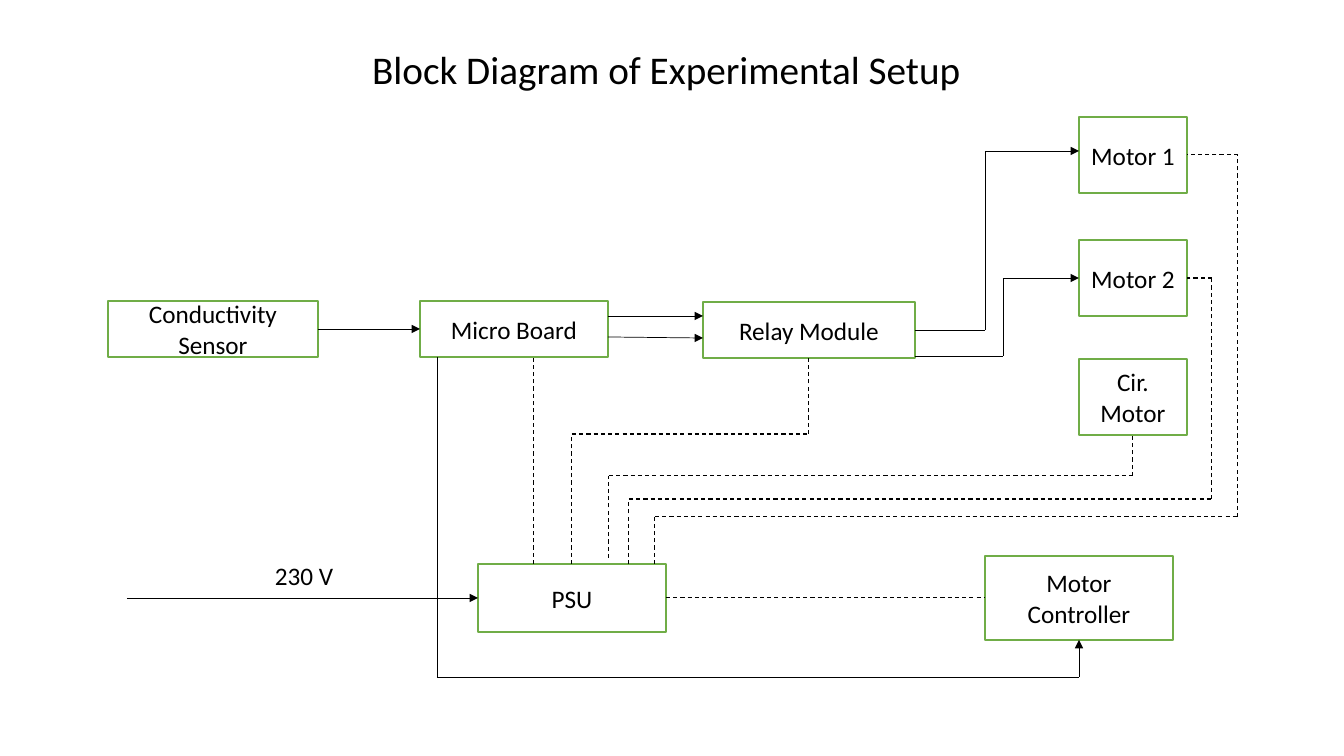
"""Builds a one-slide block diagram of an experimental setup."""
from dataclasses import dataclass
from itertools import pairwise
from typing import NamedTuple

from pptx import Presentation
from pptx.dml.color import RGBColor
from pptx.enum.dml import MSO_LINE
from pptx.enum.shapes import MSO_CONNECTOR, MSO_SHAPE
from pptx.enum.text import MSO_ANCHOR, PP_ALIGN
from pptx.oxml.ns import qn
from pptx.util import Emu, Pt
from lxml.etree import SubElement

EMU_PER_PX = 914400 / 100.8
TOP, LEFT, BOTTOM, RIGHT = range(4)
BLACK, WHITE, GREEN = "000000", "FFFFFF", "70AD47"


class Point(NamedTuple):
    x: int
    y: int


class Port(NamedTuple):
    block: str
    side: int


@dataclass(frozen=True)
class Block:
    label: str
    left: int
    top: int
    width: int
    height: int


@dataclass(frozen=True)
class Route:
    stops: tuple[Point | Port, ...]
    arrow: bool = False
    dashed: bool = False


SENSOR, BOARD, RELAY = "Conductivity Sensor", "Micro Board", "Relay Module"
SUPPLY, CONTROLLER = "PSU", "Motor Controller"
MOTOR_1, MOTOR_2, CIRCULATION = "Motor 1", "Motor 2", "Cir. Motor"

BLOCKS = (
    Block(CONTROLLER, 985, 556, 188, 84),
    Block(BOARD, 420, 301, 188, 56),
    Block(SENSOR, 108, 301, 210, 56),
    Block(RELAY, 703, 302, 212, 56),
    *(Block(label, 1079, top, 108, 76)
      for label, top in ((MOTOR_1, 117), (MOTOR_2, 240), (CIRCULATION, 359))),
    Block(SUPPLY, 478, 564, 188, 68),
)

SIGNALS = (
    (Port(SENSOR, RIGHT), Port(BOARD, LEFT)),
    (Point(608, 316), Point(703, 316)),
    (Point(608, 337), Point(703, 338)),
    (Port(RELAY, RIGHT), Point(985, 330), Point(985, 151), Point(1079, 151)),
    (Point(915, 356), Point(1003, 356), Point(1003, 278), Port(MOTOR_2, LEFT)),
    (Point(437, 357), Point(437, 677), Point(1079, 677), Port(CONTROLLER, BOTTOM)),
    (Point(127, 598), Port(SUPPLY, LEFT)),
)

POWER = (
    (Port(SUPPLY, RIGHT), Port(CONTROLLER, LEFT)),
    (Point(534, 564), Point(534, 357)),
    (Point(572, 564), Point(572, 434), Point(809, 434), Port(RELAY, BOTTOM)),
    (Point(609, 558), Point(609, 476), Point(1133, 476), Port(CIRCULATION, BOTTOM)),
    (Point(629, 564), Point(629, 499), Point(1212, 499), Point(1212, 278),
     Port(MOTOR_2, RIGHT)),
    (Point(655, 564), Point(655, 517), Point(1238, 517), Point(1238, 155),
     Port(MOTOR_1, RIGHT)),
)

ROUTES = (
    *(Route(stops, arrow=True) for stops in SIGNALS),
    *(Route(stops, dashed=True) for stops in POWER),
)


def px(length: int) -> Emu:
    """Turn pixels into EMU."""
    return Emu(round(length * EMU_PER_PX))


def color(value: str) -> RGBColor:
    """Turn a hex string into a colour."""
    return RGBColor.from_string(value)


def apply(target: object, values: dict[str, object]) -> None:
    """Set each named attribute on the target."""
    for name, value in values.items():
        setattr(target, name, value)


def write(box, text: str, size: int, align: PP_ALIGN, anchor: MSO_ANCHOR) -> None:
    """Put one formatted paragraph into a shape."""
    frame = box.text_frame
    apply(frame, {"word_wrap": True, "vertical_anchor": anchor})
    paragraph = frame.paragraphs[0]
    paragraph.alignment = align
    span = paragraph.add_run()
    span.text = text
    apply(span.font, {"name": "Calibri", "size": Pt(size)})
    span.font.color.rgb = color(BLACK)


def draw_block(page, block: Block):
    """Draw one labelled rectangle and return it."""
    box = page.shapes.add_shape(
        MSO_SHAPE.RECTANGLE,
        px(block.left), px(block.top), px(block.width), px(block.height))
    box.shadow.inherit = False
    box.fill.solid()
    box.fill.fore_color.rgb = color(WHITE)
    box.line.color.rgb = color(GREEN)
    box.line.width = Pt(1)
    write(box, block.label, 18, PP_ALIGN.CENTER, MSO_ANCHOR.MIDDLE)
    return box


def draw_route(page, route: Route, boxes: dict[str, object]) -> None:
    """Draw a route as straight connectors from stop to stop."""
    for start, end in pairwise(route.stops):
        line = page.shapes.add_connector(MSO_CONNECTOR.STRAIGHT, 0, 0, 0, 0)
        if isinstance(start, Port):
            line.begin_connect(boxes[start.block], start.side)
        else:
            apply(line, {"begin_x": px(start.x), "begin_y": px(start.y)})
        if isinstance(end, Port):
            line.end_connect(boxes[end.block], end.side)
        else:
            apply(line, {"end_x": px(end.x), "end_y": px(end.y)})
        line.line.color.rgb = color(BLACK)
        line.line.width = Pt(0.75 if route.dashed else 0.5)
        if route.dashed:
            line.line.dash_style = MSO_LINE.DASH
        properties = line._element.spPr
        if route.arrow and end is route.stops[-1]:
            SubElement(properties.find(qn("a:ln")), qn("a:tailEnd"), type="triangle")
        SubElement(properties, qn("a:effectLst"))


def main() -> None:
    """Build and save the deck."""
    deck = Presentation()
    apply(deck, {"slide_width": px(1344), "slide_height": px(756)})
    page = deck.slides.add_slide(deck.slide_layouts[5])

    title = page.shapes.title
    apply(title, {"left": px(362), "top": px(40), "width": px(645), "height": px(57)})
    write(title, "Block Diagram of Experimental Setup", 28, PP_ALIGN.LEFT, MSO_ANCHOR.TOP)

    boxes = {block.label: draw_block(page, block) for block in BLOCKS}
    for route in ROUTES:
        draw_route(page, route, boxes)

    voltage = page.shapes.add_textbox(px(265), px(555), px(105), px(40))
    write(voltage, "230 V", 18, PP_ALIGN.LEFT, MSO_ANCHOR.TOP)
    deck.save("out.pptx")


if __name__ == "__main__":
    main()
